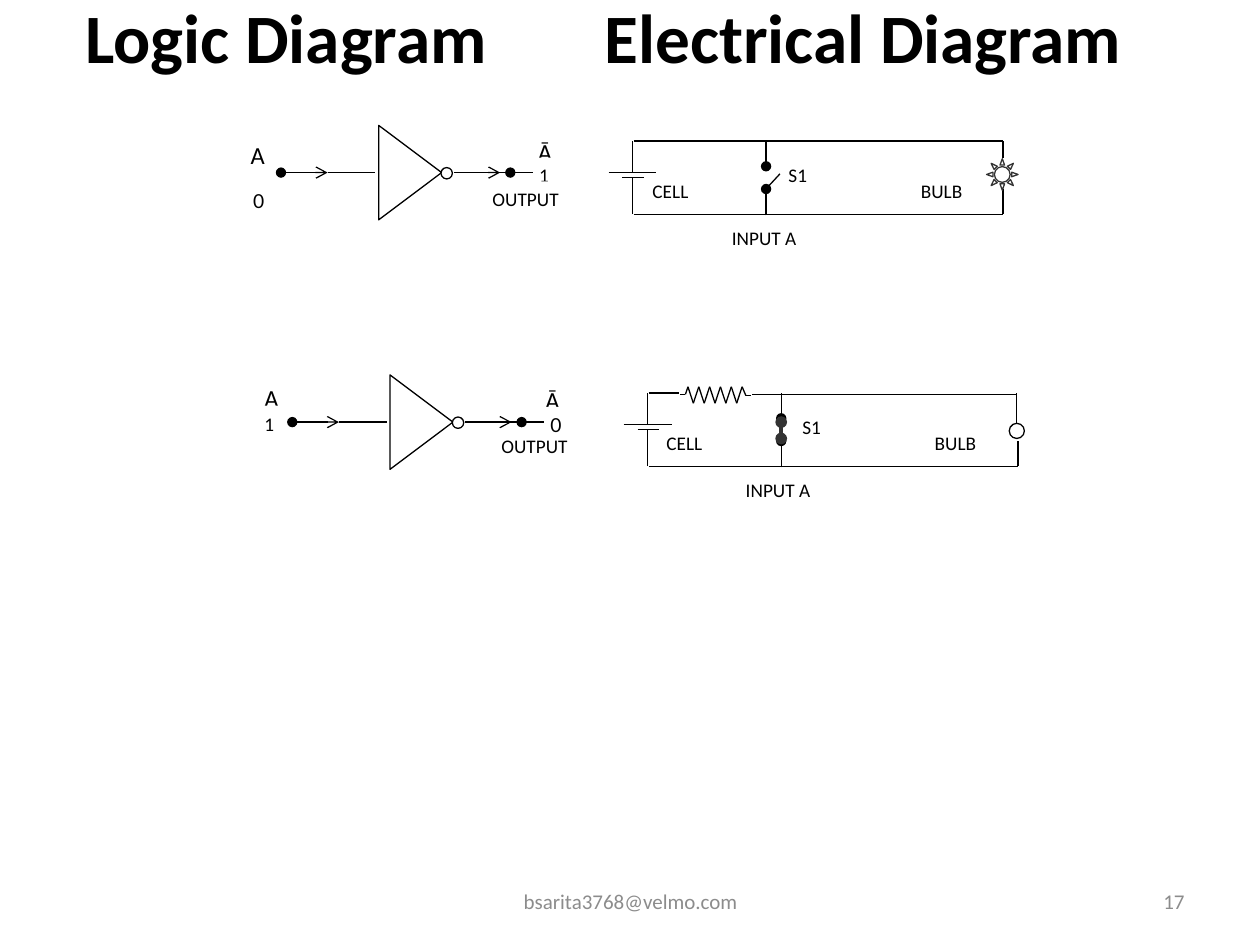
"""Build the NOT gate slide: logic symbols beside their electrical circuits."""
import itertools
from dataclasses import dataclass

import pptx
import pptx.dml.color
import pptx.enum.shapes
import pptx.enum.text
import pptx.oxml
import pptx.util
from pptx.util import Inches


@dataclass
class Theme:
    ink: str = "000000"
    paper: str = "FFFFFF"
    muted: str = "8C8C8C"
    dark: str = "333333"
    font: str = "Calibri"
    digit_font: str = "Lato"
    title: float = 39.6
    footer: float = 12
    letter: float = 14
    label: float = 11
    thin: float = 0.75
    thick: float = 2.25


theme = Theme()
rgb = pptx.dml.color.RGBColor.from_string
align = pptx.enum.text.PP_ALIGN
middle = pptx.enum.text.MSO_ANCHOR.MIDDLE
shapes = pptx.enum.shapes.MSO_SHAPE

deck = pptx.Presentation()
deck.slide_width, deck.slide_height = Inches(10), Inches(7.5)
slide = deck.slides.add_slide(deck.slide_layouts[6])


def write(text, box, size, color=theme.ink, font=theme.font, anchor=None, alignment=align.LEFT):
    holder = slide.shapes.add_textbox(*map(Inches, box))
    frame = holder.text_frame
    frame.word_wrap = True
    if anchor:
        frame.vertical_anchor = anchor
    else:
        holder.fill.solid()
        holder.fill.fore_color.rgb = rgb(theme.paper)
    paragraph = frame.paragraphs[0]
    paragraph.alignment = alignment
    run = paragraph.add_run()
    run.text = text
    run.font.size = pptx.util.Pt(size)
    run.font.name = font
    run.font.color.rgb = rgb(color)
    return paragraph


def wire(x1, y1, x2, y2, head=None, tail=None, color=theme.ink, width=theme.thin):
    line = slide.shapes.add_connector(
        pptx.enum.shapes.MSO_CONNECTOR.STRAIGHT, *map(Inches, (x1, y1, x2, y2)))
    line.line.color.rgb = rgb(color)
    line.line.width = pptx.util.Pt(width)
    outline = line.line._get_or_add_ln()
    for end, kind in (("headEnd", head), ("tailEnd", tail)):
        if kind:
            outline.append(outline.makeelement(pptx.oxml.ns.qn(f"a:{end}"), {"type": kind}))
    properties = line._element.spPr
    properties.append(properties.makeelement(pptx.oxml.ns.qn("a:effectLst"), {}))


heading = write("Logic Diagram\tElectrical Diagram", (0.58, 0, 9, 0.57), theme.title, anchor=middle)
heading.runs[0].font.bold = True
heading_properties = heading._p.get_or_add_pPr()
tabs = pptx.oxml.parse_xml(
    f'<a:tabLst {pptx.oxml.ns.nsdecls("a")}><a:tab pos="{Inches(4.12)}" algn="l"/></a:tabLst>')
heading_properties.append(tabs)

write("bsarita3768@velmo.com", (3.42, 6.95, 3.17, 0.4), theme.footer, theme.muted,
      anchor=middle, alignment=align.CENTER)
write("17", (7.17, 6.95, 2.33, 0.4), theme.footer, theme.muted,
      anchor=middle, alignment=align.RIGHT)

labels = [
    ("Ā", (4.17, 1.04, 0.4, 0.38), theme.letter, theme.font),
    ("A", (1.89, 1.06, 0.3, 0.38), theme.letter, theme.font),
    ("0", (1.91, 1.45, 0.25, 0.25), theme.label, theme.digit_font),
    ("1", (4.18, 1.25, 0.25, 0.25), theme.label, theme.font),
    ("OUTPUT", (3.81, 1.44, 0.88, 0.38), theme.label, theme.font),
    ("OUTPUT", (3.88, 3.4, 0.88, 0.38), theme.label, theme.font),
    ("Ā", (4.23, 3.01, 0.41, 0.38), theme.letter, theme.font),
    ("A", (2, 2.99, 0.39, 0.38), theme.letter, theme.font),
    ("1", (2, 3.22, 0.25, 0.25), theme.label, theme.font),
    ("0", (4.27, 3.23, 0.25, 0.25), theme.label, theme.digit_font),
]
circuit_labels = [("CELL", 5.08, 1.37, 0.75), ("INPUT A", 5.71, 1.75, 0.88),
                  ("S1", 6.16, 1.25, 0.5), ("BULB", 7.21, 1.37, 0.75)]
for dx, dy in ((0, 0), (0.11, 2)):
    for text, x, y, width in circuit_labels:
        labels.append((text, (x + dx, y + dy, width, 0.25), theme.label, theme.font))
for text, box, size, font in labels:
    write(text, box, size, font=font)

gate_wires = [
    (2.23, 2.6, "oval", "arrow"),
    (2.6, 2.98, None, None),
    (3.6, 3.97, None, "arrow"),
    (3.8, 4.05, None, "oval"),
    (3.99, 4.23, None, None),
]
circuit_wires = [
    (4.83, 1.37, 5.21, 1.37, None),
    (4.94, 1.41, 5.11, 1.41, None),
    (5.02, 1.37, 5.02, 1.12, None),
    (5.02, 1.7, 5.02, 1.41, None),
    (5.03, 1.7, 7.96, 1.7, None),
    (7.96, 1.7, 7.96, 1.5, None),
    (6.08, 1.71, 6.08, 1.5, "oval"),
    (6.08, 1.12, 6.08, 1.32, "oval"),
]
outlines = []
for gate_dx, gate_dy, circuit_dx, circuit_dy in ((0, 0, 0, 0), (0.09, 1.98, 0.12, 2)):
    outlines += [
        (shapes.FLOWCHART_EXTRACT, (2.88 + gate_dx, 1.12 + gate_dy, 0.75, 0.5), 90, theme.ink),
        (shapes.OVAL, (3.5 + gate_dx, 1.33 + gate_dy, 0.09, 0.09), 0, theme.ink),
    ]
    for start, end, head, tail in gate_wires:
        level = 1.37 + gate_dy
        wire(start + gate_dx, level, end + gate_dx, level, head, tail)
    for x1, y1, x2, y2, tail in circuit_wires:
        wire(x1 + circuit_dx, y1 + circuit_dy, x2 + circuit_dx, y2 + circuit_dy, tail=tail)

wire(5.03, 1.12, 7.96, 1.12)
wire(7.96, 1.25, 7.96, 1.12)
wire(6.19, 1.38, 6.07, 1.51)

wire(5.15, 3.12, 5.39, 3.12)
wire(5.97, 3.13, 8.07, 3.13)
wire(8.07, 3.39, 8.07, 3.12)
wire(6.2, 3.35, 6.2, 3.48, "oval", "oval", theme.dark, theme.thick)

zigzag = [(5.46 + 0.43 * step / 10, 3.2 if step % 2 else 3.07) for step in range(11)]
resistor = [(5.4, 3.13), (5.44, 3.13), *zigzag, (5.92, 3.14), (5.96, 3.14)]
for start, end in itertools.pairwise(resistor):
    wire(*start, *end)

outlines += [
    (shapes.SUN, (7.83, 1.26, 0.25, 0.25), 0, theme.dark),
    (shapes.OVAL, (8.01, 3.36, 0.12, 0.12), 0, theme.ink),
]
for kind, box, turn, color in outlines:
    symbol = slide.shapes.add_shape(kind, *map(Inches, box))
    symbol.rotation = turn
    symbol.shadow.inherit = False
    symbol.fill.solid()
    symbol.fill.fore_color.rgb = rgb(theme.paper)
    symbol.line.color.rgb = rgb(color)
    symbol.line.width = pptx.util.Pt(theme.thin)

deck.save("out.pptx")
